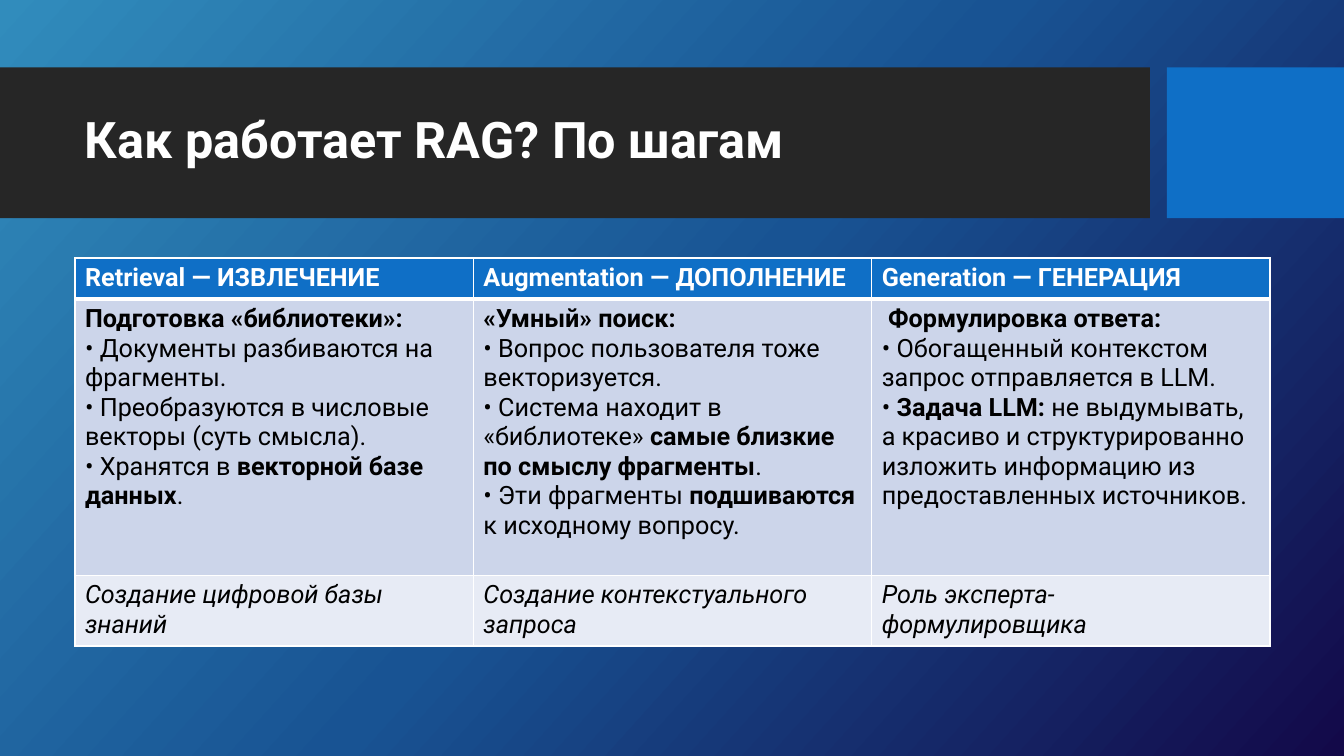
import copy

import pptx
import pptx.dml.color
import pptx.enum.shapes
import pptx.enum.text
import pptx.oxml
import pptx.oxml.ns
import pptx.util

Cm = pptx.util.Cm
RGBColor = pptx.dml.color.RGBColor

WHITE = RGBColor(0xFF, 0xFF, 0xFF)
BLACK = RGBColor(0x00, 0x00, 0x00)
CHARCOAL = RGBColor(0x26, 0x26, 0x26)
BLUE = RGBColor(0x0F, 0x6F, 0xC6)
BODY_FILL = RGBColor(0xCC, 0xD5, 0xEA)
ROLE_FILL = RGBColor(0xE7, 0xEB, 0xF5)
GRADIENT = [
    (0, RGBColor(0x31, 0x8C, 0xBC)),
    (0.5, RGBColor(0x18, 0x53, 0x93)),
    (1, RGBColor(0x13, 0x09, 0x49)),
]


def write(text_frame, text, size=18, color=BLACK, bold=False, italic=False):
    """Fill the first paragraph; **marks** switch bold, newlines break lines."""
    paragraph = text_frame.paragraphs[0]
    for line_number, line in enumerate(text.split("\n")):
        if line_number:
            paragraph.add_line_break()
        for part_number, part in enumerate(line.split("**")):
            if part:
                run = paragraph.add_run()
                run.text = part
                run.font.name = "Roboto"
                run.font.size = pptx.util.Pt(size)
                run.font.color.rgb = color
                run.font.bold = bold or part_number % 2 == 1
                run.font.italic = italic
    return paragraph


presentation = pptx.Presentation()
presentation.slide_width = Cm(33.87)
presentation.slide_height = Cm(19.05)
slide = presentation.slides.add_slide(presentation.slide_layouts[6])

# Background gradient
background = slide.background.fill
background.gradient()
background.gradient_angle = 318
stop_list = slide.element.xpath(".//a:gsLst")[0]
stop_list.append(copy.deepcopy(stop_list[-1]))
for stop, (position, color) in zip(background.gradient_stops, GRADIENT):
    stop.position = position
    stop.color.rgb = color

# Title band and accent block
for left, width, color in [(0, 28.98, CHARCOAL), (29.41, 4.46, BLUE)]:
    shape = slide.shapes.add_shape(
        pptx.enum.shapes.MSO_SHAPE.RECTANGLE, Cm(left), Cm(1.7), Cm(width), Cm(3.8)
    )
    shape.shadow.inherit = False
    shape.fill.solid()
    shape.fill.fore_color.rgb = color
    shape.line.fill.background()

# Title
title = slide.shapes.add_textbox(Cm(1.89), Cm(2.08), Cm(26.7), Cm(3))
title.text_frame.word_wrap = True
title.text_frame.vertical_anchor = pptx.enum.text.MSO_ANCHOR.MIDDLE
paragraph = write(
    title.text_frame, "Как работает RAG? По шагам", size=36, color=WHITE, bold=True
)
paragraph.line_spacing = 0.9

# Table: one entry per row with height, fill, text format and cell texts
ROWS = [
    (1.04, BLUE, {"color": WHITE, "bold": True}, [
        "Retrieval — ИЗВЛЕЧЕНИЕ",
        "Augmentation — ДОПОЛНЕНИЕ",
        "Generation — ГЕНЕРАЦИЯ",
    ]),
    (6.96, BODY_FILL, {}, [
        "**Подготовка «библиотеки»:**\n"
        "• Документы разбиваются на фрагменты.\n"
        "• Преобразуются в числовые векторы (суть смысла).\n"
        "• Хранятся в **векторной базе данных**.",
        "**«Умный» поиск:**\n"
        "• Вопрос пользователя тоже векторизуется.\n"
        "• Система находит в «библиотеке» **самые близкие по смыслу фрагменты**.\n"
        "• Эти фрагменты **подшиваются** к исходному вопросу.",
        "** Формулировка ответа:**\n"
        "• Обогащенный контекстом запрос отправляется в LLM.\n"
        "• **Задача LLM:** не выдумывать, а красиво и структурированно "
        "изложить информацию из предоставленных источников.",
    ]),
    (1.75, ROLE_FILL, {"italic": True}, [
        "Создание цифровой базы знаний",
        "Создание контекстуального запроса",
        "Роль эксперта-формулировщика",
    ]),
]
table = slide.shapes.add_table(
    3, 3, Cm(1.89), Cm(6.5), Cm(30.12), Cm(9.75)
).table
for column in table.columns:
    column.width = Cm(10.04)

for row_number, (height, fill, text_format, texts) in enumerate(ROWS):
    table.rows[row_number].height = Cm(height)
    for column_number, text in enumerate(texts):
        cell = table.cell(row_number, column_number)
        cell.fill.solid()
        cell.fill.fore_color.rgb = fill
        write(cell.text_frame, text, **text_format)

        # White borders, thicker under the header
        properties = cell._tc.get_or_add_tcPr()
        for index, side in enumerate("LRTB"):
            thick = (row_number, side) in [(0, "B"), (1, "T")]
            border = pptx.oxml.parse_xml(
                f'<a:ln{side} {pptx.oxml.ns.nsdecls("a")} '
                f'w="{pptx.util.Pt(3 if thick else 1)}">'
                f'<a:solidFill><a:srgbClr val="{WHITE}"/></a:solidFill></a:ln{side}>'
            )
            properties.insert(index, border)

presentation.save("out.pptx")
